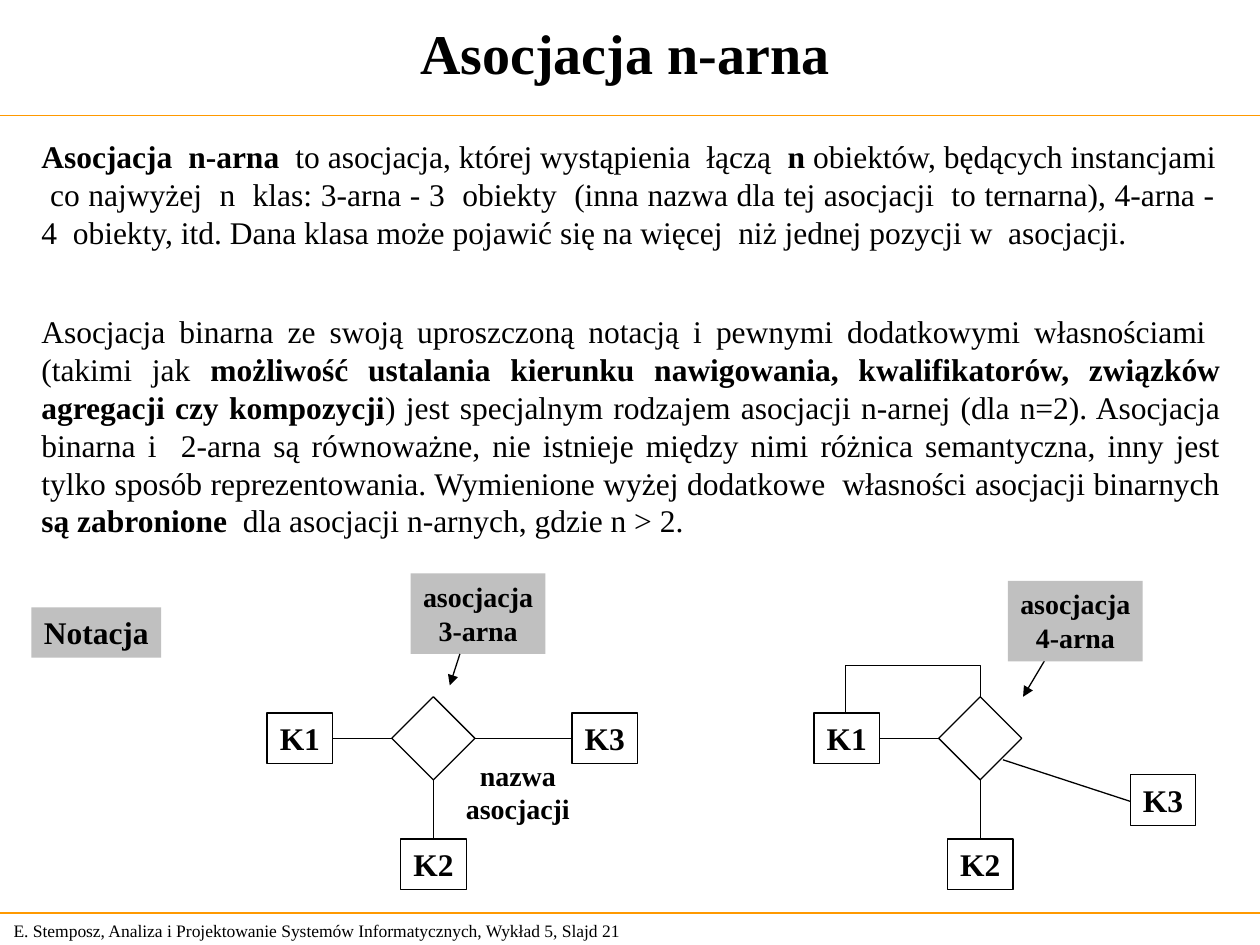
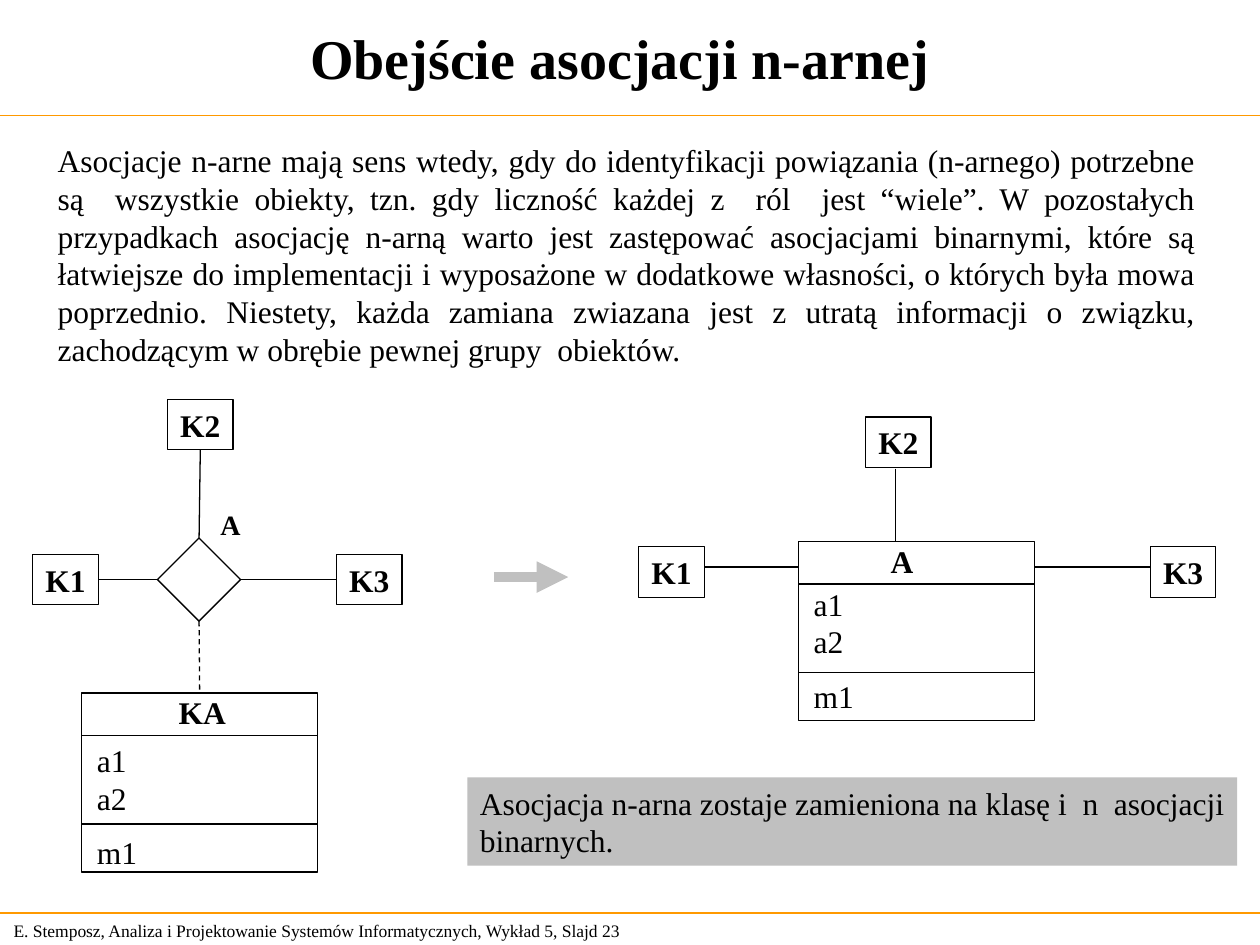
from dataclasses import dataclass

from lxml import etree
from pptx import Presentation
from pptx.dml.color import RGBColor
from pptx.enum import dml, shapes, text
from pptx.oxml import ns
from pptx.slide import Slide
from pptx.util import Emu, Inches, Pt

COLS, ROWS = 100, 75
WIDTH, HEIGHT = Inches(10), Inches(7.5)
LEFT, MID, JUST = text.PP_ALIGN.LEFT, text.PP_ALIGN.CENTER, text.PP_ALIGN.JUSTIFY
RECT, DIAMOND = shapes.MSO_SHAPE.RECTANGLE, shapes.MSO_SHAPE.DIAMOND
TOP, WEST, BOTTOM, EAST = range(4)  # connection sites
PADS = {LEFT: (1, 0), MID: (0.2, 0.2), JUST: (1, 1)}  # left and right, in columns


@dataclass(frozen=True)
class Theme:
    font: str = "Times New Roman"
    ink: str = "000000"
    rule: str = "FF9900"
    grey: str = "C0C0C0"
    title: int = 32
    body: int = 18
    label: int = 16
    foot: int = 10
    thin: float = 0.75
    thick: float = 6


THEME = Theme()


@dataclass(frozen=True)
class Area:
    """A place on the grid: column, row, columns wide, rows high."""
    x: float
    y: float
    w: float
    h: float

    def emu(self) -> tuple[Emu, Emu, Emu, Emu]:
        return col(self.x), row(self.y), col(self.w), row(self.h)


@dataclass(frozen=True)
class Label:
    """Text in a box; asterisks switch bold on and off."""
    words: str
    area: Area
    size: int = THEME.body
    bold: bool = False
    align: text.PP_ALIGN = LEFT
    fill: str = ""
    middle: bool = False


@dataclass(frozen=True)
class Line:
    x1: float
    y1: float
    x2: float
    y2: float
    color: str = THEME.ink
    width: float = THEME.thin
    arrow: bool = False
    dash: bool = False


def col(n: float) -> Emu:
    return Emu(round(WIDTH * n / COLS))


def row(n: float) -> Emu:
    return Emu(round(HEIGHT * n / ROWS))


def style(part, size: int, bold: bool) -> None:
    part.font.name = THEME.font
    part.font.size = Pt(size)
    part.font.bold = bold
    part.font.color.rgb = RGBColor.from_string(THEME.ink)


def write(shape, item: Label) -> None:
    frame = shape.text_frame
    frame.word_wrap = True
    frame.auto_size = text.MSO_AUTO_SIZE.NONE
    frame.margin_left, frame.margin_right = map(col, PADS[item.align])
    frame.vertical_anchor = text.MSO_ANCHOR.MIDDLE if item.middle else text.MSO_ANCHOR.TOP
    for n, words in enumerate(item.words.split("\n")):
        para = frame.add_paragraph() if n else frame.paragraphs[0]
        para.alignment = item.align
        for k, piece in enumerate(words.split("*")):
            if piece:
                run = para.add_run()
                run.text = piece
                style(run, item.size, item.bold or k % 2 == 1)


def put(slide: Slide, item: Label):
    box = slide.shapes.add_textbox(*item.area.emu())
    if item.fill:
        box.fill.solid()
        box.fill.fore_color.rgb = RGBColor.from_string(item.fill)
    write(box, item)
    return box


def edge(shape) -> None:
    """Leave only a thin outline."""
    shape.shadow.inherit = False
    shape.fill.background()
    shape.line.color.rgb = RGBColor.from_string(THEME.ink)
    shape.line.width = Pt(THEME.thin)


def frame(slide: Slide, kind: shapes.MSO_SHAPE, area: Area):
    shape = slide.shapes.add_shape(kind, *area.emu())
    edge(shape)
    return shape


def node(slide: Slide, name: str, x: float, y: float):
    area = Area(x, y, 5.2, 4)
    shape = frame(slide, RECT, area)
    write(shape, Label(name, area, bold=True, align=MID, middle=True))
    return shape


def hub(slide: Slide, x: float, y: float):
    """Diamond centred on a grid point."""
    return frame(slide, DIAMOND, Area(x - 3.3, y - 3.3, 6.6, 6.6))


def draw(slide: Slide, line: Line):
    join = slide.shapes.add_connector(
        shapes.MSO_CONNECTOR.STRAIGHT,
        col(line.x1), row(line.y1), col(line.x2), row(line.y2))
    join.line.color.rgb = RGBColor.from_string(line.color)
    join.line.width = Pt(line.width)
    if line.dash:
        join.line.dash_style = dml.MSO_LINE.DASH
    props = join.element.spPr
    if line.arrow:
        etree.SubElement(props.find(ns.qn("a:ln")), ns.qn("a:tailEnd"), type="triangle")
    etree.SubElement(props, ns.qn("a:effectLst"))
    return join


def link(slide: Slide, start, site: int, end, goal: int, dash: bool = False) -> None:
    join = draw(slide, Line(0, 0, 1, 1, dash=dash))
    join.begin_connect(start, site)
    join.end_connect(end, goal)


def entity(slide: Slide, name: str, x: float, y: float, shift: float, drop: float):
    """Class box with a name, attributes and a method."""
    wide = 18.7
    box = frame(slide, RECT, Area(x, y, wide, 14.2))
    put(slide, Label(name, Area(x + shift, y - 0.5, 6, 4), bold=True))
    parts = put(slide, Label("a1\na2\nm1", Area(x + 0.2, y + drop, 5.2, 11.4)))
    parts.text_frame.paragraphs[-1].space_before = Pt(9.5)
    for step in (3.35, 10.4):
        draw(slide, Line(x, y + step, x + wide, y + step))
    return box


def page(deck, title: str, area: Area, number: int) -> Slide:
    slide = deck.slides.add_slide(deck.slide_layouts[5])
    head = slide.shapes.title
    head.left, head.top, head.width, head.height = area.emu()
    write(head, Label(title, area, THEME.title, True, MID, middle=True))
    for y in (9.15, 72.47):
        draw(slide, Line(0, y, COLS, y, THEME.rule))
    put(slide, Label(
        "E. Stemposz, Analiza i Projektowanie Systemów Informatycznych, "
        f"Wykład 5, Slajd {number}",
        Area(0.1, 72.5, 52.4, 2.7), THEME.foot, middle=True))
    return slide


def prose(slide: Slide, words: str, area: Area) -> None:
    put(slide, Label(words, area, align=JUST))


def tag(slide: Slide, words: str, area: Area, fill: str = THEME.grey) -> None:
    put(slide, Label(words, area, THEME.label, True, MID, fill))


def nary(deck) -> None:
    slide = page(deck, "Asocjacja n-arna", Area(0, -0.1, 99.2, 8.5), 21)
    prose(slide,
          "*Asocjacja  n-arna  *to asocjacja, której wystąpienia  łączą  *n* obiektów, "
          "będących instancjami  co najwyżej  n  klas: 3-arna - 3  obiekty  (inna nazwa "
          "dla tej asocjacji  to ternarna), 4-arna - 4  obiekty, itd. Dana klasa może "
          "pojawić się na więcej  niż jednej pozycji w  asocjacji.",
          Area(2.3, 10.4, 95.2, 13))
    prose(slide,
          "Asocjacja binarna ze swoją uproszczoną notacją i pewnymi dodatkowymi "
          "własnościami  (takimi jak *możliwość ustalania kierunku nawigowania, "
          "kwalifikatorów, związków agregacji czy kompozycji*) jest specjalnym rodzajem "
          "asocjacji n-arnej (dla n=2). Asocjacja binarna i  2-arna są równoważne, nie "
          "istnieje między nimi różnica semantyczna, inny jest tylko sposób "
          "reprezentowania. Wymienione wyżej dodatkowe  własności asocjacji binarnych "
          "*są zabronione*  dla asocjacji n-arnych, gdzie n > 2.",
          Area(2.3, 24.3, 95.6, 19))
    put(slide, Label("Notacja", Area(2.5, 48.2, 10.3, 4), bold=True, fill=THEME.grey))

    mid = 58.6
    for x, x3, y3 in ((34.4, 45.4, 56.6), (77.8, 89.7, 61.5)):
        core = hub(slide, x, mid)
        link(slide, node(slide, "K1", x - 13.2, mid - 2), EAST, core, WEST)
        link(slide, core, BOTTOM, node(slide, "K2", x - 2.6, mid + 8), TOP)
        third = node(slide, "K3", x3, y3)
        if y3 + 2 == mid:
            link(slide, core, EAST, third, WEST)
    draw(slide, Line(79.6, 60.3, 89.7, 63.6))
    loop = slide.shapes.build_freeform(col(67.1), row(56.6))
    loop.add_line_segments(
        [(col(67.1), row(52.8)), (col(77.8), row(52.8)), (col(77.8), row(55.3))],
        close=False)
    edge(loop.convert_to_shape())

    tag(slide, "nazwa\nasocjacji", Area(36, 59.7, 10.2, 6.4), fill="")
    tag(slide, "asocjacja\n3-arna", Area(32.6, 45.5, 10.7, 6.4))
    draw(slide, Line(36.5, 51.9, 35.7, 54.4, arrow=True))
    draw(slide, Line(83.7, 51.1, 81.2, 55.3, arrow=True))
    tag(slide, "asocjacja\n4-arna", Area(80, 46.1, 10.7, 6.4))


def bypass(deck) -> None:
    slide = page(deck, "Obejście asocjacji n-arnej", Area(0, -0.1, 98.4, 9.3), 23)
    prose(slide,
          "Asocjacje n-arne mają sens wtedy, gdy do identyfikacji powiązania (n-arnego) "
          "potrzebne są  wszystkie obiekty, tzn. gdy liczność każdej z  ról  jest “wiele”. "
          "W pozostałych przypadkach asocjację n-arną warto jest zastępować asocjacjami "
          "binarnymi, które są łatwiejsze do implementacji i wyposażone w dodatkowe "
          "własności, o których była mowa poprzednio. Niestety, każda zamiana zwiazana "
          "jest z utratą informacji o związku, zachodzącym w obrębie pewnej grupy  obiektów.",
          Area(3.6, 10.7, 92.3, 19))

    for name, x, y in (("K1", 50.7, 43.4), ("K3", 91.3, 43.4), ("K2", 68.7, 33.1)):
        node(slide, name, x, y)
    entity(slide, "A", 63.4, 43, 6.3, 2.9)
    for line in (Line(55.9, 45, 63.4, 45), Line(71.1, 37.2, 71.1, 43),
                 Line(82.1, 45, 91.3, 45)):
        draw(slide, line)
    put(slide, Label(
        "Asocjacja n-arna zostaje zamieniona na klasę i  n  asocjacji\nbinarnych.",
        Area(37.1, 61.7, 61.1, 7), fill=THEME.grey))

    core = hub(slide, 15.8, 46)
    link(slide, node(slide, "K1", 2.6, 44), EAST, core, WEST)
    link(slide, core, EAST, node(slide, "K3", 26.7, 44), WEST)
    link(slide, node(slide, "K2", 13.3, 31.7), BOTTOM, core, TOP)
    link(slide, core, BOTTOM, entity(slide, "KA", 6.5, 55, 6.7, 3.3), TOP, dash=True)
    put(slide, Label("A", Area(16.5, 39.8, 3.6, 3.7), THEME.label, True))
    draw(slide, Line(39.2, 45.8, 45.1, 45.8, THEME.grey, THEME.thick, arrow=True))


def main() -> None:
    deck = Presentation()
    deck.slide_width, deck.slide_height = WIDTH, HEIGHT
    nary(deck)
    bypass(deck)
    deck.save("out.pptx")


if __name__ == "__main__":
    main()
